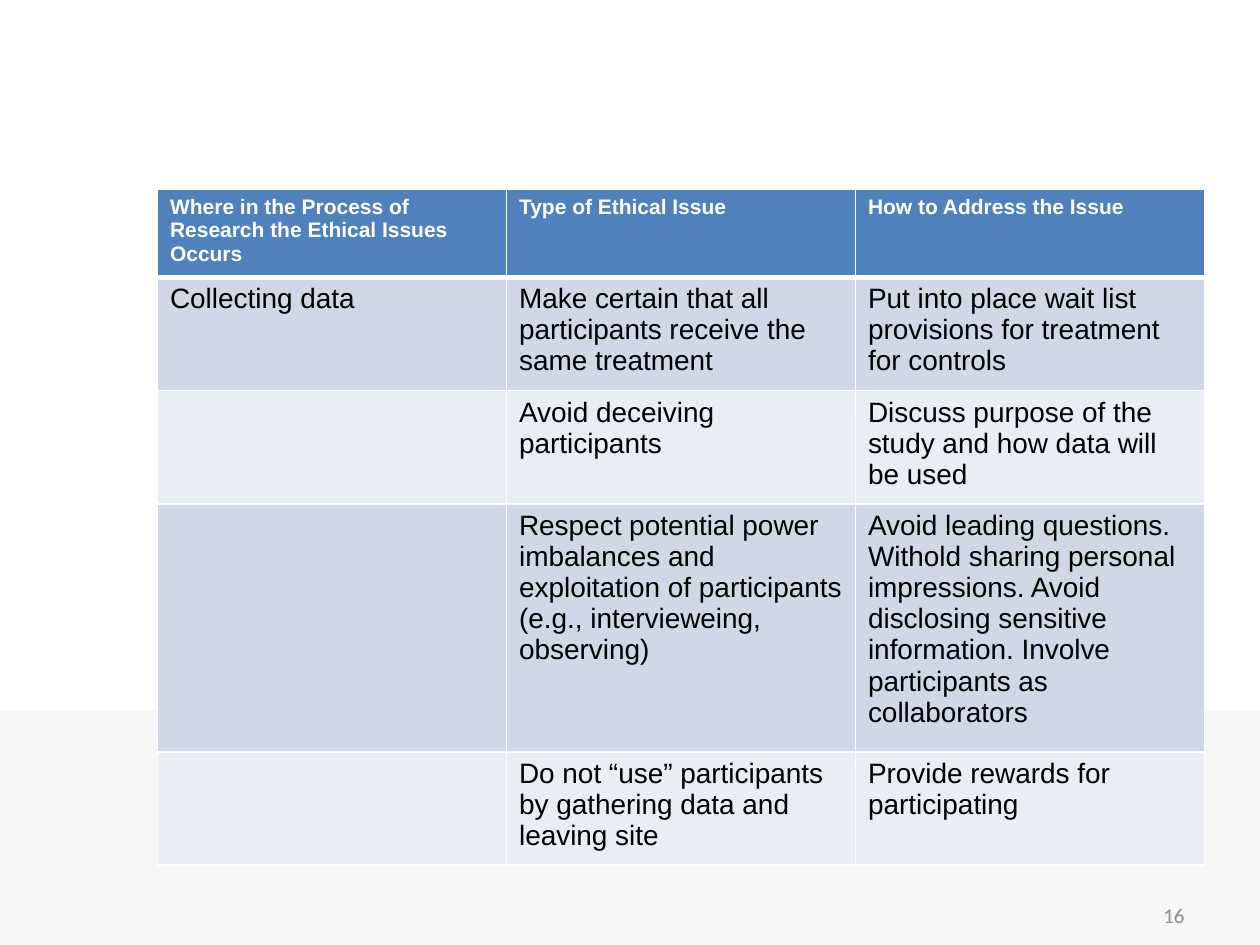
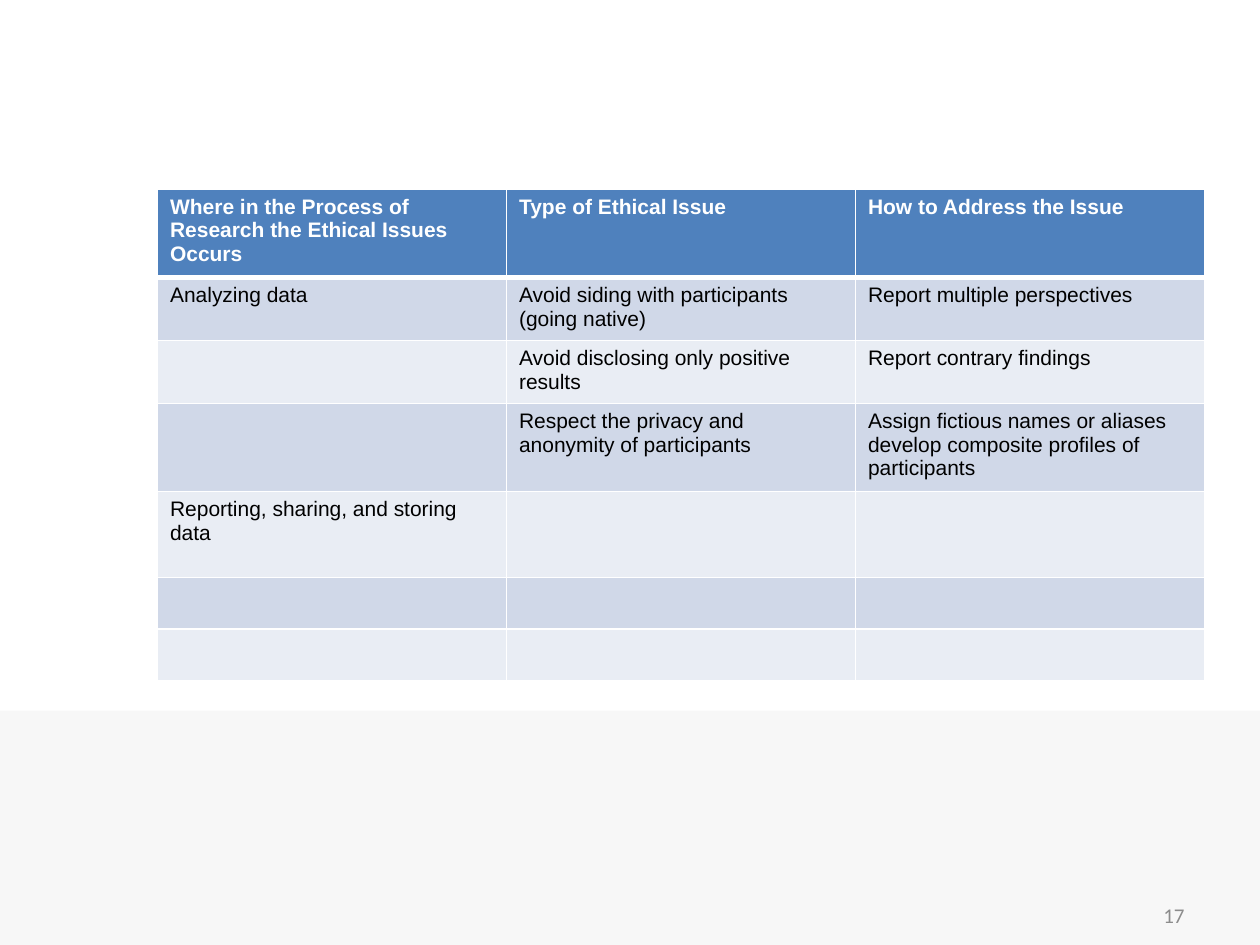
from lxml.etree import SubElement
from pptx import Presentation
from pptx.dml.color import RGBColor
from pptx.enum.shapes import MSO_SHAPE
from pptx.enum.text import MSO_ANCHOR, PP_ALIGN
from pptx.oxml.ns import qn
from pptx.util import Inches, Pt

# Shared style
WHITE, BLACK = "FFFFFF", "000000"
HEADER_FILL = "4F81BD"
ROW_FILLS = ["D0D8E8", "E9EDF4"]
BAND_FILL = "F7F7F7"
NUMBER_COLOUR = "8C8C8C"
HEADINGS = [
    "Where in the Process of Research the Ethical Issues Occurs",
    "Type of Ethical Issue",
    "How to Address the Issue",
]
HEADER_HEIGHT = 0.65
COLUMN_WIDTH = 2.77

# Each row: height, then the three cell texts
COLLECTING = [
    (0.84, "Collecting data",
     "Make certain that all participants receive the same treatment",
     "Put into place wait list provisions for treatment for controls"),
    (0.84, "", "Avoid deceiving participants",
     "Discuss purpose of the study and how data will be used"),
    (1.83, "",
     "Respect potential power imbalances and exploitation of participants "
     "(e.g., intervieweing, observing)",
     "Avoid leading questions. Withold sharing personal impressions. Avoid "
     "disclosing sensitive information. Involve participants as collaborators"),
    (0.84, "",
     "Do not \u201cuse\u201d participants by gathering data and leaving site",
     "Provide rewards for participating"),
]
ANALYZING = [
    (0.47, "Analyzing data", "Avoid siding with participants (going native)",
     "Report multiple perspectives"),
    (0.47, "", "Avoid disclosing only positive results",
     "Report contrary findings"),
    (0.66, "", "Respect the privacy and anonymity of participants",
     "Assign fictious names or aliases develop composite profiles of participants"),
    (0.68, "Reporting, sharing, and storing data", "", ""),
    (0.41, "", "", ""),
    (0.41, "", "", ""),
]


def colour(value):
    return RGBColor.from_string(value)


def format_text(paragraph, font, size, value, bold=False):
    for span in paragraph.runs:
        span.font.name = font
        span.font.size = Pt(size)
        span.font.bold = bold
        span.font.color.rgb = colour(value)


def add_master_band(deck, page):
    """Draw the bottom band and move it to the master, behind everything."""
    band = page.shapes.add_shape(MSO_SHAPE.RECTANGLE, Inches(0), Inches(5.64),
                                 Inches(10), Inches(1.86))
    band.shadow.inherit = False
    band.fill.solid()
    band.fill.fore_color.rgb = colour(BAND_FILL)
    band.line.fill.background()
    deck.slide_master.shapes._spTree.insert(2, band._element)


def add_page_number(page, number):
    box = page.shapes.add_textbox(Inches(7.17), Inches(7.06),
                                  Inches(2.33), Inches(0.4))
    frame = box.text_frame
    frame.word_wrap = True
    frame.vertical_anchor = MSO_ANCHOR.MIDDLE
    frame.text = str(number)
    frame.paragraphs[0].alignment = PP_ALIGN.RIGHT
    format_text(frame.paragraphs[0], "Calibri", 12, NUMBER_COLOUR)


def add_borders(cell, top, bottom):
    """White cell borders; they must precede the fill in the cell properties."""
    properties = cell._tc.get_or_add_tcPr()
    widths = {"a:lnL": 1, "a:lnR": 1, "a:lnT": top, "a:lnB": bottom}
    for position, (tag, width) in enumerate(widths.items()):
        line = SubElement(properties, qn(tag), w=str(Pt(width)))
        fill = SubElement(line, qn("a:solidFill"))
        SubElement(fill, qn("a:srgbClr"), val=WHITE)
        properties.insert(position, line)


def fill_cell(cell, text, size, row):
    header = row == 0
    cell.fill.solid()
    cell.fill.fore_color.rgb = colour(
        HEADER_FILL if header else ROW_FILLS[(row - 1) % 2])
    add_borders(cell, top=3 if row == 1 else 1, bottom=3 if header else 1)
    if text:
        cell.text_frame.text = text
        format_text(cell.text_frame.paragraphs[0], "Arial", size,
                    WHITE if header else BLACK, bold=header)


def add_issue_table(page, body, body_size):
    rows = [(HEADER_HEIGHT, *HEADINGS), *body]
    table = page.shapes.add_table(
        len(rows), len(HEADINGS), Inches(1.25), Inches(1.5),
        Inches(COLUMN_WIDTH * len(HEADINGS)),
        Inches(sum(row[0] for row in rows))).table
    for column in table.columns:
        column.width = Inches(COLUMN_WIDTH)
    for index, (height, *texts) in enumerate(rows):
        table.rows[index].height = Inches(height)
        size = 12 if index == 0 else body_size
        for column, text in enumerate(texts):
            fill_cell(table.cell(index, column), text, size, index)


def main():
    deck = Presentation()
    deck.slide_width, deck.slide_height = Inches(10), Inches(7.5)
    blank = deck.slide_layouts[6]

    contents = [(COLLECTING, 16), (ANALYZING, 12)]
    for number, (body, body_size) in enumerate(contents, start=16):
        page = deck.slides.add_slide(blank)
        add_page_number(page, number)
        add_issue_table(page, body, body_size)

    add_master_band(deck, deck.slides[0])
    deck.save("out.pptx")


main()
